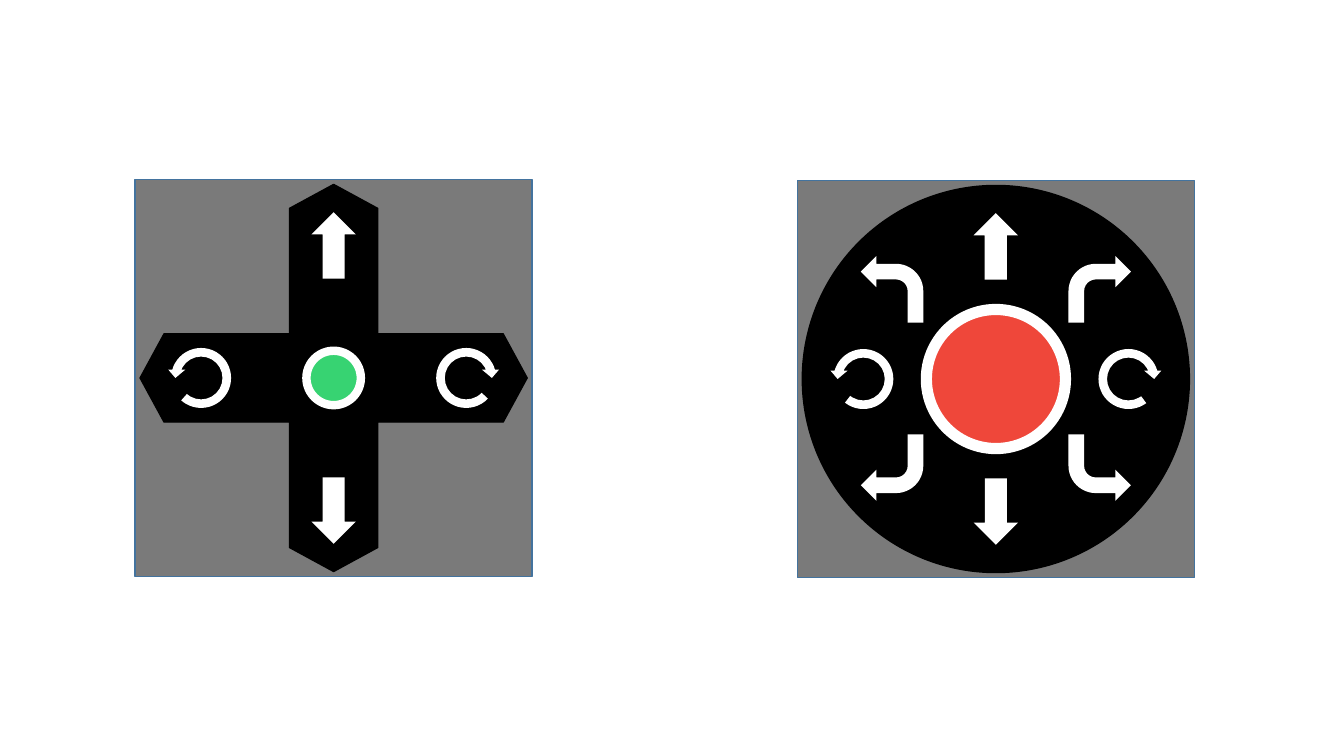
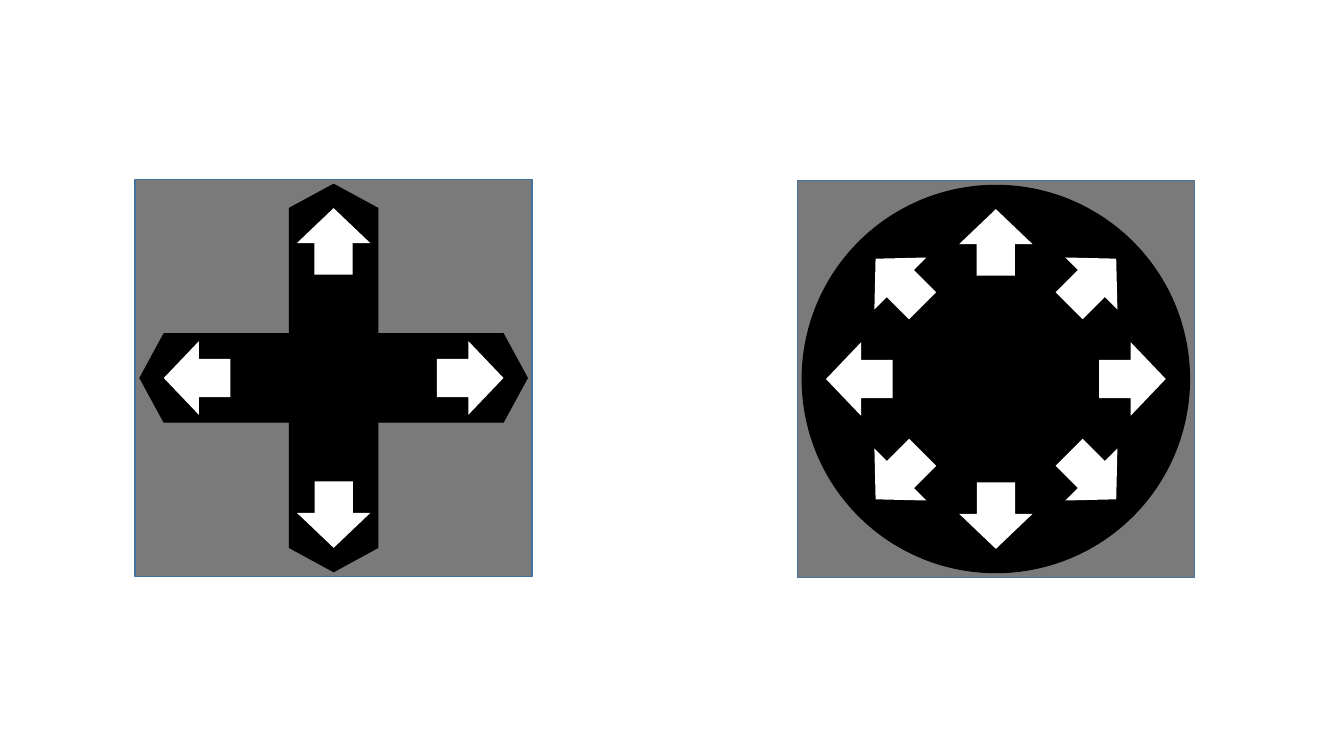
import math
from dataclasses import dataclass

from pptx import Presentation
from pptx.dml.color import RGBColor
from pptx.enum.shapes import MSO_SHAPE as S
from pptx.util import Emu, Pt

PX = 4572
COLORS = {
    "panel": "7A7A7A",
    "edge": "43739E",
    "pad": "000000",
    "sign": "FFFFFF",
    "go": "37D372",
    "stop": "EF473A",
}


@dataclass(frozen=True)
class Part:
    kind: S
    dx: int
    dy: int
    w: int
    h: int
    fill: str = "sign"
    line: str = ""
    line_pt: int = 1
    rot: int = 0
    flip: str = ""
    adj: tuple[float, ...] = ()


@dataclass(frozen=True)
class Pad:
    cx: int
    cy: int
    base: Part


PANEL = Part(S.RECTANGLE, 0, 0, 788, 788, "panel", "edge")
CROSS = Pad(662, 750, Part(S.QUAD_ARROW_CALLOUT, 0, 0, 768, 768, "pad", "pad",
                           adj=(0.292, 0.114, 0.062, 0.221)))
DISC = Pad(1976, 752, Part(S.OVAL, 0, 0, 768, 768, "pad", "pad"))


def px(n: float) -> Emu:
    return Emu(round(n * PX))


def rgb(name: str) -> RGBColor:
    return RGBColor.from_string(COLORS[name])


def draw(shapes, pad: Pad, part: Part) -> None:
    sp = shapes.add_shape(
        part.kind,
        px(pad.cx + part.dx - part.w / 2), px(pad.cy + part.dy - part.h / 2),
        px(part.w), px(part.h),
    )
    sp.shadow.inherit = False
    sp.rotation = part.rot
    for i, value in enumerate(part.adj):
        sp.adjustments[i] = value
    for axis in part.flip:
        sp.element.spPr.get_or_add_xfrm().set(f"flip{axis}", "1")
    sp.fill.solid()
    sp.fill.fore_color.rgb = rgb(part.fill)
    if part.line:
        sp.line.color.rgb = rgb(part.line)
        sp.line.width = Pt(part.line_pt)
    else:
        sp.line.fill.background()


def draw_pad(shapes, pad: Pad, parts: list[Part]) -> None:
    for part in [PANEL, pad.base, *parts]:
        draw(shapes, pad, part)


def button(size: int, fill: str, line_pt: int) -> Part:
    return Part(S.OVAL, 0, 0, size, size, fill, "sign", line_pt)


def move_and_spin(right_start: float, left_start: float) -> list[Part]:
    reach = 263
    moves = [Part(S.UP_ARROW, 0, dy, 88, 132, rot=rot)
             for dy, rot in ((-reach, 0), (reach, 180))]
    spins = [Part(S.CIRCULAR_ARROW, dx, 0, 136, 136, flip=flip,
                  adj=(0.125, 11.423, 204.577, start, 0.125))
             for dx, flip, start in ((reach, "", right_start), (-reach, "H", left_start))]
    return moves + spins


def turns() -> list[Part]:
    return [Part(S.BENT_ARROW, dx, dy, 124, 132, flip=flip_h + flip_v)
            for dx, flip_h in ((206, ""), (-206, "H"))
            for dy, flip_v in ((-178, ""), (176, "V"))]


def compass(count: int) -> list[Part]:
    reach = 271
    angles = [i * 360 // count for i in range(count)]
    return [Part(S.UP_ARROW,
                 round(reach * math.sin(math.radians(a))),
                 round(-reach * math.cos(math.radians(a))),
                 146, 132, rot=a, adj=(0.521, 0.528))
            for a in angles]


def main() -> None:
    prs = Presentation()
    prs.slide_width, prs.slide_height = Emu(12192000), Emu(6858000)
    blank = prs.slide_layouts[6]

    shapes = prs.slides.add_slide(blank).shapes
    draw_pad(shapes, CROSS, [button(108, "go", 6), *move_and_spin(26.231, 29.061)])
    draw_pad(shapes, DISC, [button(276, "stop", 8), *move_and_spin(32.145, 31.297), *turns()])

    shapes = prs.slides.add_slide(blank).shapes
    for pad, count in ((CROSS, 4), (DISC, 8)):
        draw_pad(shapes.add_group_shape().shapes, pad, compass(count))

    prs.save("out.pptx")


if __name__ == "__main__":
    main()
